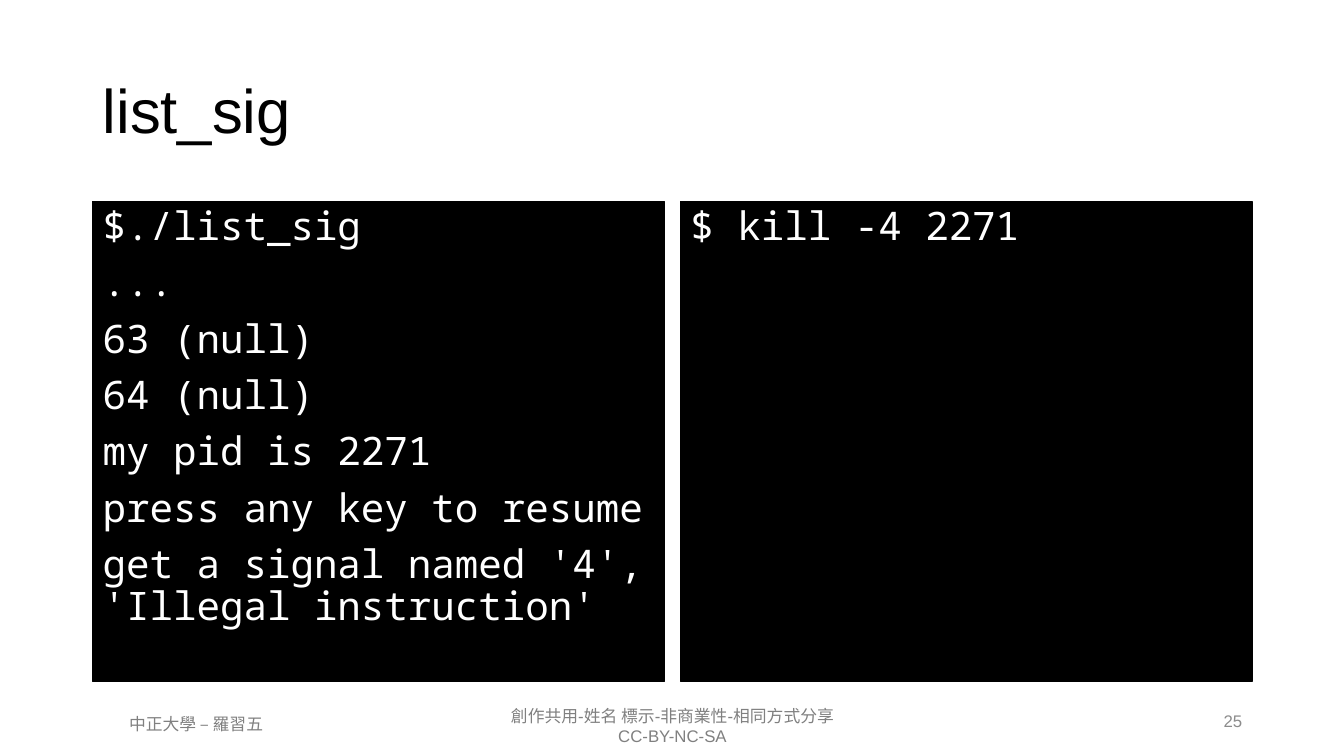
from pptx import Presentation
from pptx import util as u
from pptx.dml.color import RGBColor
from pptx.enum import shapes, text


def color(value):
    return RGBColor.from_string(value)


class SlideBuilder:
    BODY_FONT = "Arial"
    CODE_FONT = "Noto Sans Mono"
    BLACK = "000000"
    WHITE = "FFFFFF"
    GRAY = "808080"
    PAGE_GRAY = "8C8C8C"
    LINE_SPACING = 0.9

    def __init__(self, slide):
        self.slide = slide

    def set_lines(self, shape, lines, font, size, ink, align=text.PP_ALIGN.LEFT,
                  anchor=text.MSO_ANCHOR.TOP, line_spacing=None, gap=0):
        """Fill the shape with one paragraph per line, gap points apart."""
        frame = shape.text_frame
        frame.word_wrap = True
        frame.vertical_anchor = anchor
        for index, line in enumerate(lines):
            paragraph = frame.add_paragraph() if index else frame.paragraphs[0]
            paragraph.text = line
            paragraph.alignment = align
            paragraph.line_spacing = line_spacing
            paragraph.space_before = u.Pt(gap if index else 0)
            paragraph.font.name = font
            paragraph.font.size = u.Pt(size)
            paragraph.font.color.rgb = color(ink)

    def label(self, left, top, width, height, lines, size=12, ink=GRAY, **layout):
        shape = self.slide.shapes.add_textbox(
            u.Inches(left), u.Inches(top), u.Inches(width), u.Inches(height))
        self.set_lines(shape, lines, self.BODY_FONT, size, ink, **layout)

    def title(self, line):
        self.label(0.92, 0.4, 11.5, 1.45, [line], size=44, ink=self.BLACK,
                   anchor=text.MSO_ANCHOR.MIDDLE, line_spacing=self.LINE_SPACING)

    def terminal(self, left, lines):
        shape = self.slide.shapes.add_shape(
            shapes.MSO_SHAPE.RECTANGLE,
            u.Inches(left), u.Inches(2), u.Inches(5.67), u.Inches(4.76))
        shape.shadow.inherit = False
        shape.fill.solid()
        shape.fill.fore_color.rgb = color(self.BLACK)
        shape.line.color.rgb = color(self.BLACK)
        shape.line.width = u.Pt(1)
        self.set_lines(shape, lines, self.CODE_FONT, 28, self.WHITE,
                       line_spacing=self.LINE_SPACING, gap=10)


def main():
    presentation = Presentation()
    presentation.slide_width = u.Inches(13.33)
    presentation.slide_height = u.Inches(7.5)
    builder = SlideBuilder(presentation.slides.add_slide(presentation.slide_layouts[6]))

    builder.label(4.21, 6.95, 4.92, 0.5,
                  ["創作共用-姓名 標示-非商業性-相同方式分享", "CC-BY-NC-SA"],
                  align=text.PP_ALIGN.CENTER)
    builder.label(0.69, 7.03, 2.51, 0.3, ["中正大學 – 羅習五"],
                  align=text.PP_ALIGN.CENTER)
    builder.title("list_sig")
    builder.terminal(0.92, [
        "$./list_sig",
        "...",
        "63 (null)",
        "64 (null)",
        "my pid is 2271",
        "press any key to resume",
        "get a signal named '4', 'Illegal instruction'",
    ])
    builder.terminal(6.75, ["$ kill -4 2271"])
    builder.label(9.42, 6.95, 3, 0.4, ["25"], ink=builder.PAGE_GRAY,
                  align=text.PP_ALIGN.RIGHT, anchor=text.MSO_ANCHOR.MIDDLE)

    presentation.save("out.pptx")


if __name__ == "__main__":
    main()
